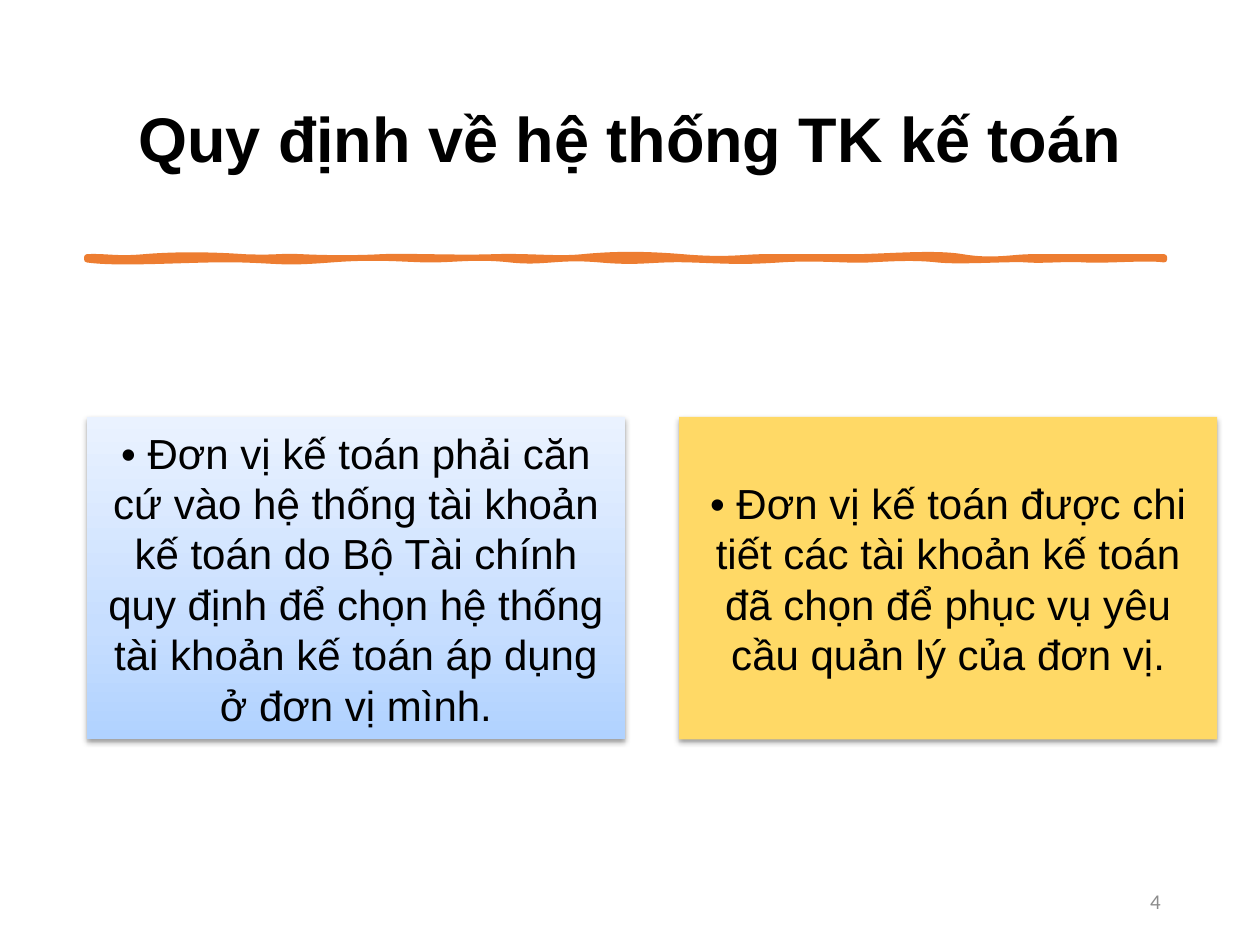
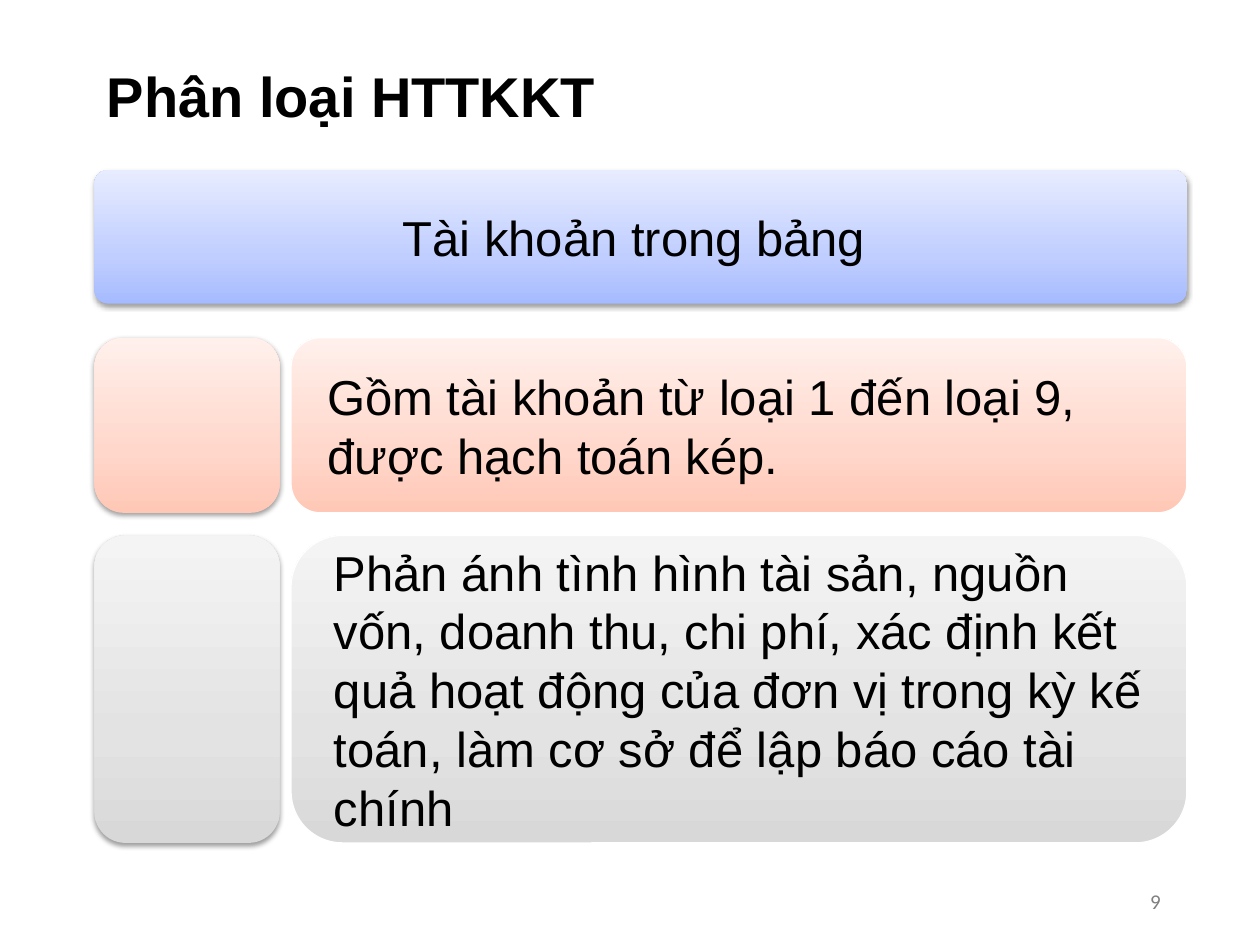
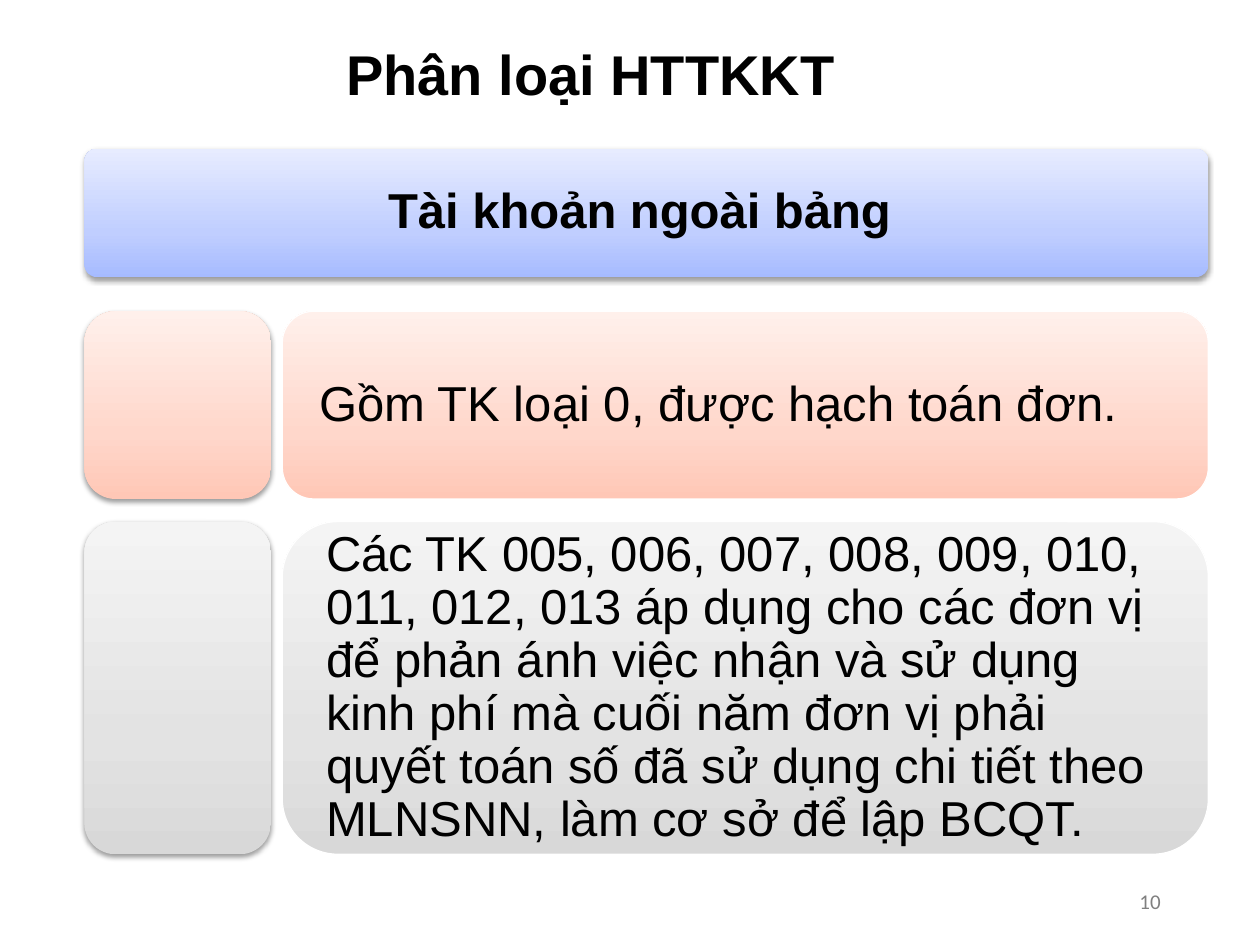
from copy import deepcopy

from lxml import etree
from pptx import Presentation
from pptx.dml.color import RGBColor
from pptx.enum.shapes import MSO_SHAPE
from pptx.enum.text import MSO_ANCHOR, PP_ALIGN
from pptx.oxml.ns import qn
from pptx.util import Inches, Pt

RECTANGLE = MSO_SHAPE.RECTANGLE
ROUNDED = MSO_SHAPE.ROUNDED_RECTANGLE
LEFT, CENTER, RIGHT, JUSTIFY = PP_ALIGN.LEFT, PP_ALIGN.CENTER, PP_ALIGN.RIGHT, PP_ALIGN.JUSTIFY
TOP, MIDDLE = MSO_ANCHOR.TOP, MSO_ANCHOR.MIDDLE

BLACK = RGBColor(0x00, 0x00, 0x00)
WHITE = RGBColor(0xFF, 0xFF, 0xFF)
ORANGE = RGBColor(0xED, 0x7D, 0x31)
YELLOW = RGBColor(0xFF, 0xD9, 0x66)
LIGHT_GRAY = RGBColor(0x8C, 0x8C, 0x8C)
GRAY = RGBColor(0x80, 0x80, 0x80)
# Gradients run from the bottom edge to the top edge.
SKY = [RGBColor(0xB0, 0xD2, 0xFF), RGBColor(0xC7, 0xDE, 0xFF), RGBColor(0xEA, 0xF2, 0xFF)]
BLUE = [RGBColor(0xA6, 0xBB, 0xFF), RGBColor(0xC0, 0xCE, 0xFF), RGBColor(0xE7, 0xEC, 0xFF)]
CORAL = [RGBColor(0xFF, 0xC7, 0xB6), RGBColor(0xFF, 0xD7, 0xCB), RGBColor(0xFF, 0xF0, 0xEB)]
SILVER = [RGBColor(0xD8, 0xD8, 0xD8), RGBColor(0xE3, 0xE3, 0xE3), RGBColor(0xF4, 0xF4, 0xF4)]
GRADIENT_POSITIONS = (0, 0.35, 1)

HEADING_FONT = "Arial"
NUMBER_FONT = "Calibri"
NUMBER_BOX = (7.06, 6.95, 2.25, 0.4)
HEADER_GAP = 0.27
ROW_GAP = 0.18
TILE_GAP = 0.09

# Brush curves: first control x, y, second control x, y, end x (inches from the
# left end; heights from the edge, which every curve starts and ends on).
BRUSH_THICKNESS = 0.02
BRUSH_TOP = [
    (0.13, -0.01, 0.23, 0.02, 0.45), (0.68, -0.02, 0.97, -0.02, 1.25),
    (1.53, 0.01, 1.51, -0.01, 1.71), (1.91, 0.01, 2.15, 0.01, 2.33),
    (2.51, -0.01, 2.93, 0.01, 3.22), (3.51, -0.01, 3.73, 0.02, 3.93),
    (4.14, -0.02, 4.37, -0.03, 4.73), (5.08, 0.03, 5.22, 0, 5.36),
    (5.49, 0, 5.81, 0, 6.07), (6.32, 0, 6.72, -0.04, 6.95),
    (7.19, 0.04, 7.35, 0, 7.49), (7.63, 0, 8.09, 0, 8.55),
]
BRUSH_BOTTOM = [
    (8.42, -0.02, 8.08, 0.01, 7.92), (7.76, -0.01, 7.6, 0.01, 7.46),
    (7.33, -0.01, 6.93, 0.02, 6.75), (6.57, -0.02, 6.4, -0.01, 6.21),
    (6.03, 0.01, 5.81, -0.02, 5.5), (5.19, 0.02, 5.09, 0.01, 4.79),
    (4.48, -0.01, 4.41, 0.03, 4.07), (3.73, -0.03, 3.63, 0.03, 3.36),
    (3.09, -0.03, 2.93, 0, 2.73), (2.53, 0, 2.32, -0.03, 1.94),
    (1.55, 0.03, 1.56, 0.01, 1.22), (0.88, -0.01, 0.27, 0.04, 0),
]


def inches(box):
    return [Inches(length) for length in box]


def write(shape, text, size, align, color=BLACK, bold=False, font=HEADING_FONT,
          spacing=1.0, anchor=MIDDLE, margins=(0.1, 0.05)):
    """Fill the shape's frame with one paragraph; margins are (side, top and bottom)."""
    frame = shape.text_frame
    frame.word_wrap = True
    frame.vertical_anchor = anchor
    frame.margin_left = frame.margin_right = Inches(margins[0])
    frame.margin_top = frame.margin_bottom = Inches(margins[1])
    paragraph = frame.paragraphs[0]
    paragraph.text = text
    paragraph.alignment = align
    paragraph.line_spacing = spacing
    paragraph.font.name = font
    paragraph.font.size = Pt(size)
    paragraph.font.bold = bold
    paragraph.font.color.rgb = color


def add_text(slide, box, text, size, align, **style):
    write(slide.shapes.add_textbox(*inches(box)), text, size, align, **style)


def add_page_number(slide, number, color=GRAY):
    add_text(slide, NUMBER_BOX, number, 12, RIGHT, color=color, font=NUMBER_FONT)


def fill_gradient(shape, colors):
    shape.fill.gradient()
    shape.fill.gradient_angle = 90
    stop_list = shape._element.spPr.find(".//" + qn("a:gsLst"))
    stop_list.append(deepcopy(stop_list[-1]))
    for stop, color, position in zip(shape.fill.gradient_stops, colors, GRADIENT_POSITIONS):
        stop.color.rgb = color
        stop.position = position


def add_soft_shadow(shape):
    effects = shape._element.spPr.find(qn("a:effectLst"))
    shadow = etree.SubElement(effects, qn("a:outerShdw"), blurRad=str(Pt(3.1)),
                              dist=str(Pt(1.6)), dir="5400000", rotWithShape="0")
    color = etree.SubElement(shadow, qn("a:srgbClr"), val="000000")
    etree.SubElement(color, qn("a:alpha"), val="38000")


def add_panel(slide, kind, box, fill, raised=True, rounding=None):
    """Add a filled shape, either raised on a shadow or flat with a white edge."""
    shape = slide.shapes.add_shape(kind, *inches(box))
    shape.shadow.inherit = False
    if rounding is not None:
        shape.adjustments[0] = rounding
    if isinstance(fill, RGBColor):
        shape.fill.solid()
        shape.fill.fore_color.rgb = fill
    else:
        fill_gradient(shape, fill)
    if raised:
        shape.line.fill.background()
        add_soft_shadow(shape)
    else:
        shape.line.color.rgb = WHITE
        shape.line.width = Pt(0.75)
    return shape


def bend(segment, curve, edge):
    """Turn a straight freeform segment into a cubic curve with the same end."""
    x1, y1, x2, y2, _ = curve
    segment.tag = qn("a:cubicBezTo")
    for index, (x, y) in enumerate([(x1, y1), (x2, y2)]):
        point = etree.Element(qn("a:pt"), x=str(Inches(x)), y=str(Inches(edge + y)))
        segment.insert(index, point)


def add_brush_line(slide, left, top):
    edges = [(BRUSH_TOP, 0), (BRUSH_BOTTOM, BRUSH_THICKNESS)]
    top_ends, bottom_ends = [[(Inches(curve[-1]), Inches(edge)) for curve in curves]
                             for curves, edge in edges]
    corner = (top_ends[-1][0], Inches(BRUSH_THICKNESS))
    builder = slide.shapes.build_freeform(0, 0)
    builder.add_line_segments(top_ends + [corner] + bottom_ends)
    brush = builder.convert_to_shape(Inches(left), Inches(top))
    segments = list(brush._element.spPr.iter(qn("a:lnTo")))
    del segments[len(top_ends)]
    curves = [(curve, edge) for curves, edge in edges for curve in curves]
    for segment, (curve, edge) in zip(segments, curves):
        bend(segment, curve, edge)
    brush.shadow.inherit = False
    brush.fill.solid()
    brush.fill.fore_color.rgb = ORANGE
    brush.line.color.rgb = ORANGE
    brush.line.width = Pt(3.25)


def add_rule_cards(slide, box, gap, cards):
    """Set equal cards side by side across the box."""
    left, top, width, height = box
    card_width = (width - gap * (len(cards) - 1)) / len(cards)
    for index, (text, fill) in enumerate(cards):
        card_left = left + index * (card_width + gap)
        card = add_panel(slide, RECTANGLE, (card_left, top, card_width, height), fill)
        write(card, text, 24, CENTER, margins=(0.1, 0.1))


def add_account_group(slide, box, tile_width, header, rows, bold=False, spacing=1.0):
    """Fill the box with a header bar and add rows of a tile and a text below it."""
    left, top, width, header_height = box
    bar = add_panel(slide, ROUNDED, box, BLUE, rounding=0.1)
    write(bar, header, 28, CENTER, bold=bold, spacing=spacing, margins=(0.06, 0.04))
    row_top = top + header_height + HEADER_GAP
    text_offset = tile_width + TILE_GAP
    for text, height, fill in rows:
        add_panel(slide, ROUNDED, (left, row_top, tile_width, height), fill, rounding=0.167)
        text_box = (left + text_offset, row_top, width - text_offset, height)
        panel = add_panel(slide, ROUNDED, text_box, fill, raised=False, rounding=0.167)
        write(panel, text, 28, LEFT, spacing=spacing, margins=(0.22, 0.22))
        row_top += height + ROW_GAP


def add_group_title(slide, box):
    add_text(slide, box, "Phân loại HTTKKT", 32, JUSTIFY, bold=True, spacing=1.5, anchor=TOP)


def build_rules_slide(slide):
    add_text(slide, (0.69, 0.4, 8.62, 1.45), "Quy định về hệ thống TK kế toán", 36, CENTER,
             bold=True, spacing=0.9)
    add_brush_line(slide, 0.69, 2.04)
    add_page_number(slide, "4", LIGHT_GRAY)
    add_rule_cards(slide, (0.69, 3.31, 8.97, 2.56), 0.43, [
        ("• Đơn vị kế toán phải căn cứ vào hệ thống tài khoản kế toán do Bộ Tài chính "
         "quy định để chọn hệ thống tài khoản kế toán áp dụng ở đơn vị mình.", SKY),
        ("• Đơn vị kế toán được chi tiết các tài khoản kế toán đã chọn để phục vụ "
         "yêu cầu quản lý của đơn vị.", YELLOW),
    ])


def build_on_balance_slide(slide):
    add_page_number(slide, "9")
    add_account_group(slide, (0.75, 1.35, 8.67, 1.06), 1.47, "Tài khoản trong bảng ", [
        ("Gồm tài khoản từ loại 1 đến loại 9, được hạch toán kép.", 1.39, CORAL),
        ("Phản ánh tình hình tài sản, nguồn vốn, doanh thu, chi phí, xác định kết quả "
         "hoạt động của đơn vị trong kỳ kế toán, làm cơ sở để lập báo cáo tài chính",
         2.44, SILVER),
    ])
    add_group_title(slide, (0.75, 0.17, 4.25, 0.81))


def build_off_balance_slide(slide):
    add_page_number(slide, "10")
    add_account_group(slide, (0.67, 1.18, 8.92, 1.02), 1.48, "Tài khoản ngoài bảng ", [
        ("Gồm TK loại 0, được hạch toán đơn.", 1.49, CORAL),
        ("Các TK 005, 006, 007, 008, 009, 010, 011, 012, 013 áp dụng cho các đơn vị "
         "để phản ánh việc nhận và sử dụng kinh phí mà cuối năm đơn vị phải quyết toán "
         "số đã sử dụng chi tiết theo MLNSNN, làm cơ sở để lập BCQT.", 2.64, SILVER),
    ], bold=True, spacing=0.9)
    add_group_title(slide, (2.65, 0, 4.42, 0.81))


def main():
    presentation = Presentation()
    presentation.slide_width = Inches(10)
    presentation.slide_height = Inches(7.5)
    blank_layout = presentation.slide_layouts[6]
    for build in (build_rules_slide, build_on_balance_slide, build_off_balance_slide):
        build(presentation.slides.add_slide(blank_layout))
    presentation.save("out.pptx")


if __name__ == "__main__":
    main()
